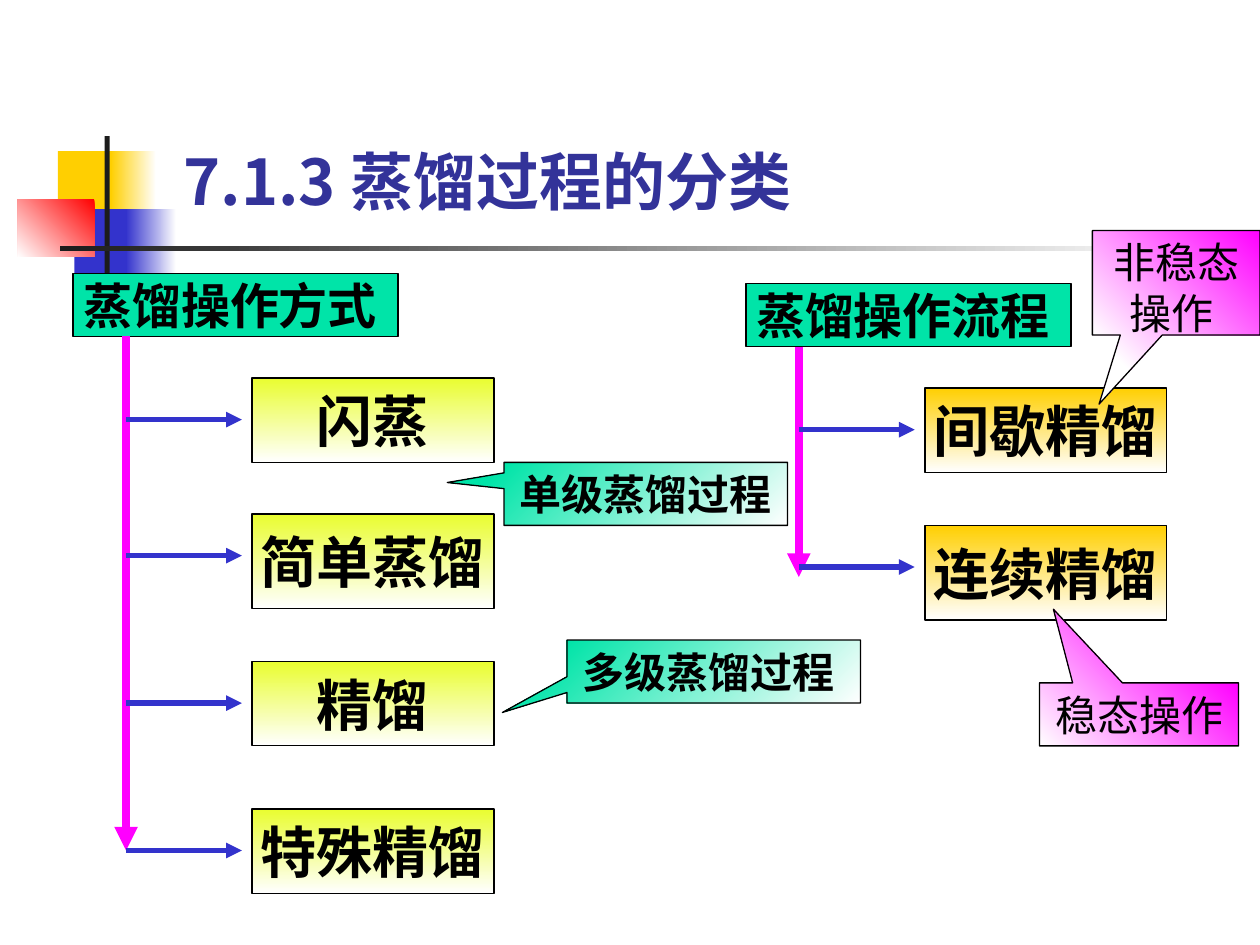
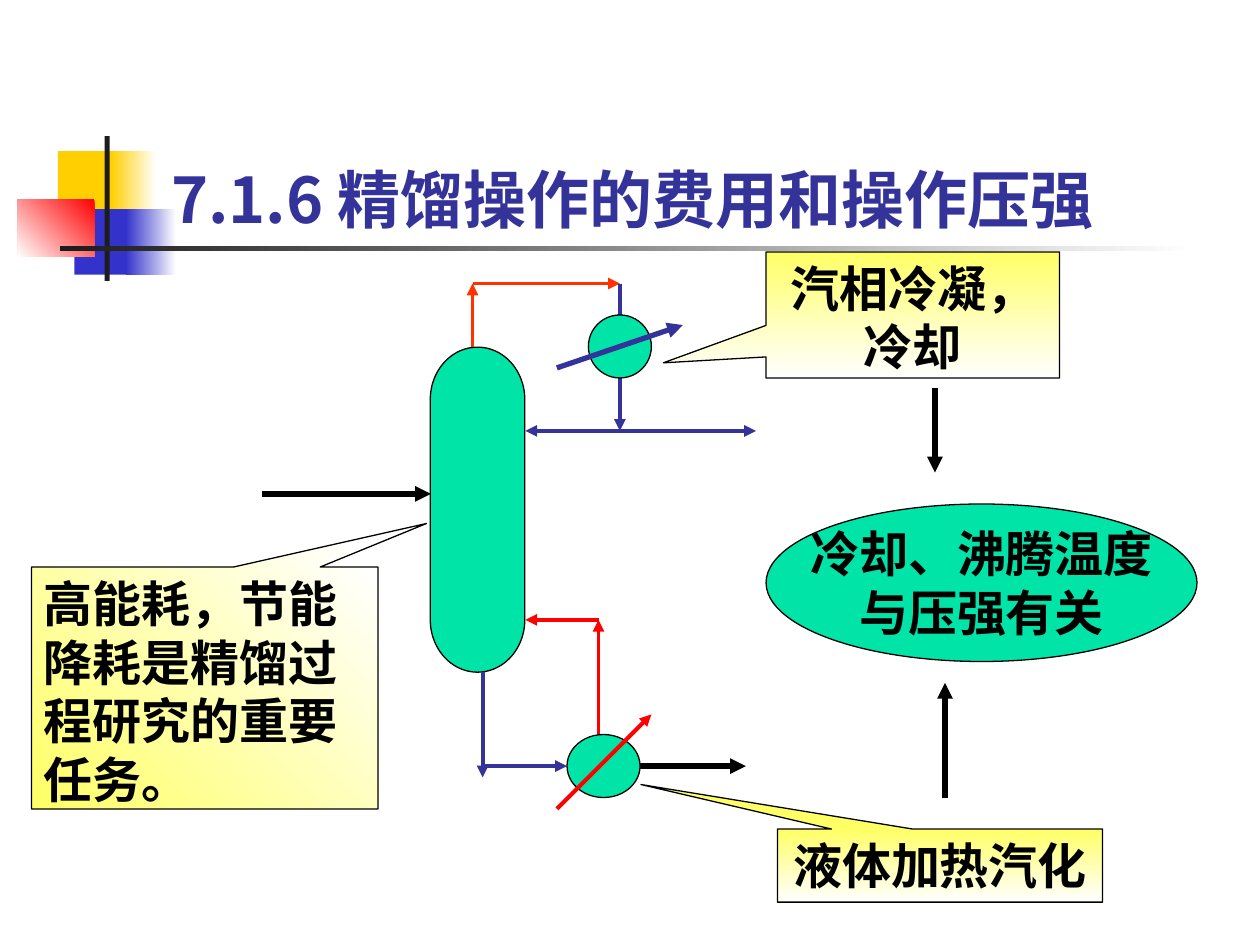
from pptx import Presentation
from pptx.dml.color import RGBColor
from pptx.enum.shapes import MSO_CONNECTOR, MSO_SHAPE
from pptx.enum.text import MSO_ANCHOR, PP_ALIGN
from pptx.oxml.ns import qn
from pptx.util import Inches, Pt
from lxml import etree

COLORS = {
    "white": "FFFFFF", "black": "000000", "ink": "1C1C1C", "title": "333399",
    "gold": "FFCF01", "blue": "3333CC", "red": "FF0000", "orange": "FF3300",
    "green": "00E4A8", "lime": "E9FD2F", "magenta": "FF00FF", "yellow": "FFFF66",
}
CJK_FONT = "Noto Sans CJK SC"


def add_box(slide, kind, at, fill=None, text="", *, outline="black", adjust=(),
            size=28, color="black", font=CJK_FONT, bold=True, wrap=True,
            align=PP_ALIGN.CENTER, anchor=MSO_ANCHOR.TOP):
    place = [Inches(value) for value in at]
    if kind is None:
        shape = slide.shapes.add_textbox(*place)
    else:
        shape = slide.shapes.add_shape(kind, *place)
        shape.shadow.inherit = False
        for index, value in enumerate(adjust):
            shape.adjustments[index] = value
        if isinstance(fill, tuple):
            start, end, angle = fill
            shape.fill.gradient()
            shape.fill.gradient_angle = 360 - angle
            for stop, name in zip(shape.fill.gradient_stops, (start, end)):
                stop.color.rgb = RGBColor.from_string(COLORS[name])
        else:
            shape.fill.solid()
            shape.fill.fore_color.rgb = RGBColor.from_string(COLORS[fill])
        if outline:
            shape.line.color.rgb = RGBColor.from_string(COLORS[outline])
            shape.line.width = Pt(0.75)
        else:
            shape.line.fill.background()
    if not text:
        return shape
    frame = shape.text_frame
    frame.word_wrap = wrap
    frame.vertical_anchor = anchor
    for number, line in enumerate(text.split("\n")):
        paragraph = frame.add_paragraph() if number else frame.paragraphs[0]
        paragraph.alignment = align
        run = paragraph.add_run()
        run.text = line
        run.font.size = Pt(size)
        run.font.bold = bold
        run.font.name = font
        run.font.color.rgb = RGBColor.from_string(COLORS[color])
        etree.SubElement(run.font._element, qn("a:ea")).set("typeface", CJK_FONT)
    return shape


def add_arrow(slide, points, color, width):
    connector = slide.shapes.add_connector(
        MSO_CONNECTOR.STRAIGHT, *[Inches(value) for value in points])
    connector.line.color.rgb = RGBColor.from_string(COLORS[color])
    connector.line.width = Pt(width)
    line = connector.line._get_or_add_ln()
    etree.SubElement(line, qn("a:tailEnd")).set("type", "triangle")
    etree.SubElement(connector._element.spPr, qn("a:effectLst"))


presentation = Presentation()
presentation.slide_width = Inches(10)
presentation.slide_height = Inches(7.5)

decorations = [
    ((0.46, 1.2, 0.48, 0.52), "gold"),
    ((0.88, 1.2, 0.36, 0.52), ("white", "gold", 180)),
    ((0.59, 1.66, 0.46, 0.52), "blue"),
    ((1, 1.66, 0.4, 0.52), ("white", "blue", 180)),
    ((0.14, 1.58, 0.61, 0.46), ("red", "white", 135)),
    ((0.83, 1.08, 0.04, 1.15), "ink"),
    ((0.48, 1.95, 9, 0.04), ("white", "ink", 180)),
]
titles = [
    ("7.1.3 蒸馏过程的分类", (1.36, 1.08, 5.6, 0.7), MSO_ANCHOR.TOP),
    ("7.1.6 精馏操作的费用和操作压强", (1.26, 0.67, 8.52, 1.25), MSO_ANCHOR.BOTTOM),
]
slides = []
for title, at, anchor in titles:
    slide = presentation.slides.add_slide(presentation.slide_layouts[6])
    for place, fill in decorations:
        add_box(slide, MSO_SHAPE.RECTANGLE, place, fill, outline=None)
    add_box(slide, None, at, text=title, size=36, color="title",
            align=PP_ALIGN.LEFT, anchor=anchor)
    slides.append(slide)
classes_slide, cost_slide = slides

branches = [
    ("蒸馏操作方式 ", 0.58, 2.17, 6.75, "lime",
     [("闪蒸", 3, 0.67), ("简单蒸馏", 4.08, 0.75),
      ("精馏", 5.25, 0.67), ("特殊精馏", 6.42, 0.67)]),
    ("蒸馏操作流程 ", 5.92, 2.25, 4.58, "gold",
     [("间歇精馏", 3.08, 0.67), ("连续精馏", 4.17, 0.75)]),
]
for header, left, top, trunk_end, tint, methods in branches:
    trunk = left + 0.42
    add_box(classes_slide, MSO_SHAPE.RECTANGLE, (left, top, 2.58, 0.5), "green",
            header, wrap=False, anchor=MSO_ANCHOR.MIDDLE)
    for method, method_top, height in methods:
        add_box(classes_slide, MSO_SHAPE.RECTANGLE,
                (left + 1.42, method_top, 1.92, height), (tint, "white", 90),
                method, size=32, font="Lato", wrap=False, anchor=MSO_ANCHOR.MIDDLE)
    add_arrow(classes_slide, (trunk, top + 0.5, trunk, trunk_end), "magenta", 4.5)
    for method, method_top, height in methods:
        level = method_top + 0.33
        add_arrow(classes_slide, (trunk, level, trunk + 0.92, level), "blue", 3)

stage_fill = ("white", "green", 225)
state_fill = ("magenta", "white", 135)
class_callouts = [
    ("单级蒸馏过程 ", (4, 3.67, 2.25, 0.5), (-0.7, -0.18), stage_fill, True),
    ("多级蒸馏过程 ", (4.5, 5.08, 2.33, 0.5), (-0.72, 0.65), stage_fill, True),
    ("非稳态操作 ", (8.67, 1.83, 1.33, 0.83), (-0.46, 1.16), state_fill, False),
    ("稳态操作 ", (8.25, 5.42, 1.58, 0.5), (-0.43, -1.67), state_fill, False),
]
for text, at, tip, fill, bold in class_callouts:
    add_box(classes_slide, MSO_SHAPE.RECTANGULAR_CALLOUT, at, fill, text,
            adjust=tip, size=24, bold=bold)

column = add_box(cost_slide, MSO_SHAPE.FLOWCHART_TERMINATOR,
                 (2.5, 3.67, 2.58, 0.75), "green")
column.rotation = 90
pipes = [
    ((2.08, 3.92, 3.42, 3.92), "black", 3),
    ((3.75, 2.75, 3.75, 2.25), "orange", 2.25),
    ((3.75, 2.25, 4.92, 2.25), "orange", 2.25),
    ((4.92, 2.25, 4.92, 3.42), "title", 2.25),
    ((4.92, 3.42, 4.17, 3.42), "title", 2.25),
    ((4.92, 3.42, 6, 3.42), "title", 2.25),
    ((3.83, 5.33, 3.83, 6.17), "title", 2.25),
    ((3.83, 6.08, 4.5, 6.08), "title", 2.25),
    ((4.75, 5.83, 4.75, 4.92), "red", 2.25),
    ((4.75, 4.92, 4.17, 4.92), "red", 2.25),
    ((5.08, 6.08, 5.92, 6.08), "black", 3),
]
for points, color, width in pipes:
    add_arrow(cost_slide, points, color, width)

exchangers = [
    ((4.67, 2.5, 0.5, 0.5), (4.42, 2.92, 5.42, 2.58), "title", 3),
    ((4.5, 5.83, 0.58, 0.5), (4.42, 6.42, 5.17, 5.67), "red", 2.25),
]
for at, points, color, width in exchangers:
    add_box(cost_slide, MSO_SHAPE.OVAL, at, "green")
    add_arrow(cost_slide, points, color, width)

cost_callouts = [
    ("汽相冷凝，冷却", (6.08, 2, 2.33, 1), (-0.85, 0.38),
     ("yellow", "white", 90), PP_ALIGN.CENTER),
    ("液体加热汽化", (6.17, 6.58, 2.58, 0.58), (-0.92, -1.11),
     ("yellow", "white", 90), PP_ALIGN.CENTER),
    ("高能耗，节能降耗是精馏过程研究的重要任务。", (0.25, 4.5, 2.75, 1.92),
     (0.64, -0.68), ("white", "yellow", 135), PP_ALIGN.LEFT),
]
for text, at, tip, fill, align in cost_callouts:
    add_box(cost_slide, MSO_SHAPE.RECTANGULAR_CALLOUT, at, fill, text,
            adjust=tip, align=align)

add_box(cost_slide, MSO_SHAPE.OVAL, (6.08, 4, 3.42, 1.25), "green",
        "冷却、沸腾温度\n与压强有关", font="Lato", wrap=False, anchor=MSO_ANCHOR.MIDDLE)
for points in [(7.42, 3.08, 7.42, 3.75), (7.5, 6.33, 7.5, 5.42)]:
    add_arrow(cost_slide, points, "black", 3)

presentation.save("out.pptx")
